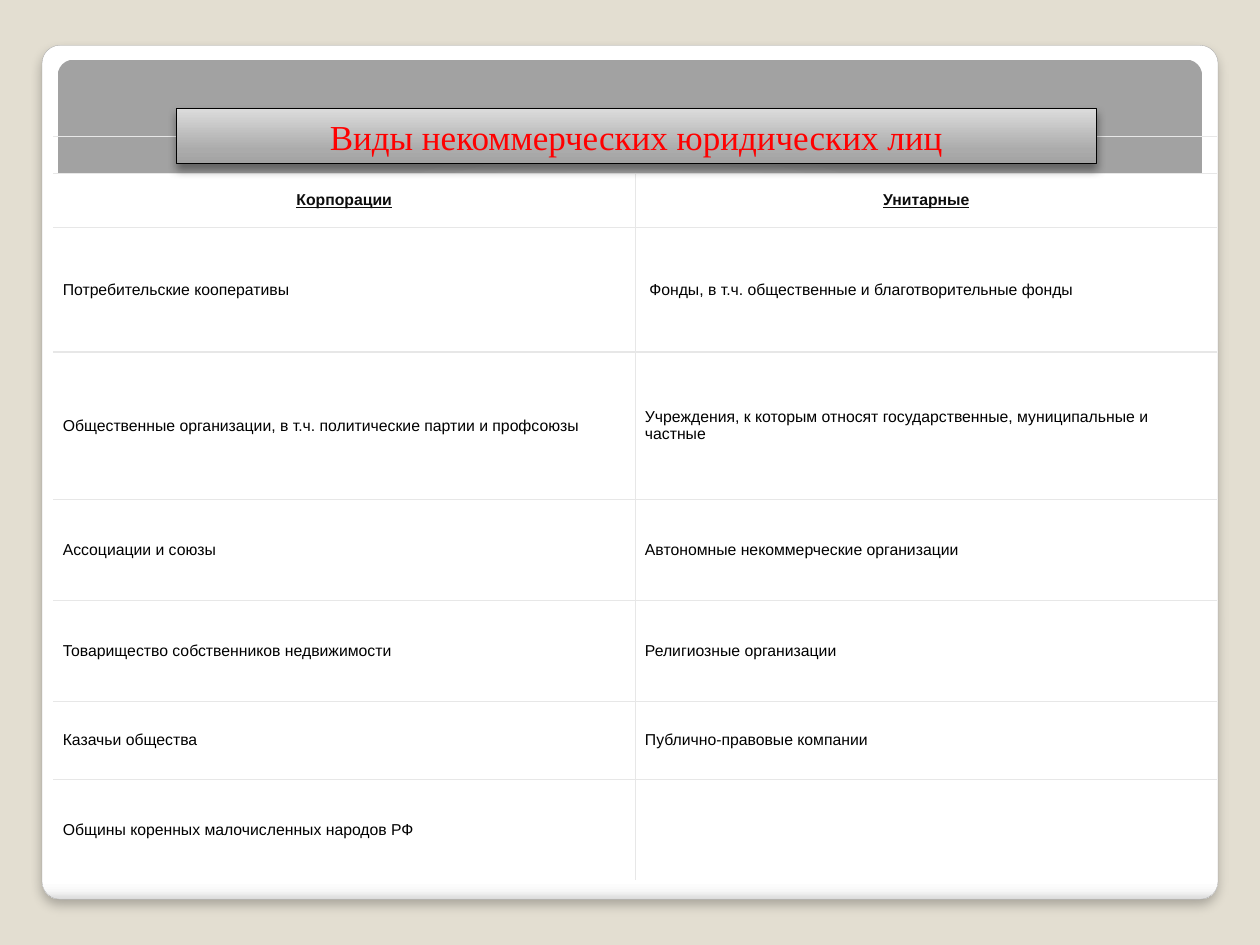
from lxml.etree import SubElement
from pptx import Presentation
from pptx.dml.color import RGBColor
from pptx.enum.shapes import MSO_SHAPE
from pptx.enum.text import MSO_ANCHOR, PP_ALIGN
from pptx.oxml import parse_xml
from pptx.oxml.ns import nsdecls, qn
from pptx.util import Pt

COLORS = {
    "background": "E3DED1", "white": "FFFFFF", "black": "000000",
    "card_edge": "A4A4A4", "grid": "E7E7E7",
    "header": "0D0D0D", "title": "FF0000",
}
CARD_STOPS = [(0, "FFFFFF"), (98, "FFFFFF"), (99, "F7F7F7"), (100, "DADADA")]
PANEL_STOPS = [(0, "FFFFFF"), (55, "E1E1E1"), (100, "A2A2A2")]
BANNER_STOPS = [(0, "A2A2A2"), (25, "ABABAB"), (100, "DCDCDC")]

TITLE = "Виды некоммерческих юридических лиц"
# Height, corporations, unitary entities
ENTITIES = [
    (31, "Корпорации", "Унитарные"),
    (71.2, "Потребительские кооперативы",
     "\u00a0Фонды, в т.ч. общественные и благотворительные фонды"),
    (84.2, "Общественные организации, в т.ч. политические партии и профсоюзы",
     "Учреждения, к которым относят государственные, муниципальные и частные"),
    (57.7, "Ассоциации и союзы", "Автономные некоммерческие организации"),
    (57.7, "Товарищество собственников недвижимости", "Религиозные организации"),
    (44.6, "Казачьи общества", "Публично-правовые компании"),
    (57.7, "Общины коренных малочисленных народов РФ", ""),
]


def rgb(name):
    return RGBColor.from_string(COLORS[name])


def set_gradient(shape, stops, direction):
    shape.fill.background()
    stop_xml = "".join(
        f'<a:gs pos="{pos * 1000}"><a:srgbClr val="{color}"/></a:gs>'
        for pos, color in stops)
    gradient = parse_xml(
        f'<a:gradFill {nsdecls("a")} rotWithShape="1">'
        f'<a:gsLst>{stop_xml}</a:gsLst>{direction}</a:gradFill>')
    properties = shape.element.spPr
    properties.replace(properties.find(qn("a:noFill")), gradient)


def linear(angle):
    return f'<a:lin ang="{angle * 60000}" scaled="0"/>'


def set_shadow(shape, alpha, blur, distance):
    shape.shadow.inherit = False
    effects = shape.element.spPr.find(qn("a:effectLst"))
    shadow = SubElement(effects, qn("a:outerShdw"), blurRad=str(Pt(blur)),
                        dist=str(Pt(distance)), dir="5400000",
                        algn="t", rotWithShape="0")
    color = SubElement(shadow, qn("a:srgbClr"), val=COLORS["black"])
    SubElement(color, qn("a:alpha"), val=str(alpha * 1000))


def set_line(shape, color, width):
    shape.line.color.rgb = rgb(color)
    shape.line.width = Pt(width)


def add_backdrop(slide, left, top, width, height):
    """White card with a grey panel inset at its top."""
    def rounded(x, y, w, h):
        shape = slide.shapes.add_shape(
            MSO_SHAPE.ROUNDED_RECTANGLE, Pt(x), Pt(y), Pt(w), Pt(h))
        shape.adjustments[0] = 0.021
        shape.shadow.inherit = False
        return shape

    card = rounded(left, top, width, height)
    set_gradient(card, CARD_STOPS, linear(90))
    set_line(card, "card_edge", 0.16)
    set_shadow(card, 25, 6, 4)

    panel = rounded(left + 9, top + 8.2, width - 18, 432)
    set_gradient(panel, PANEL_STOPS,
                 '<a:path path="circle"><a:fillToRect l="50000" t="175000" '
                 'r="50000" b="-75000"/></a:path>')
    panel.line.fill.background()


def style_cell(cell, text, borders, margins, is_header=False):
    cell.vertical_anchor = MSO_ANCHOR.MIDDLE
    cell.margin_left = cell.margin_right = Pt(margins[0])
    cell.margin_top = cell.margin_bottom = Pt(margins[1])
    paragraph = cell.text_frame.paragraphs[0]
    if text:
        paragraph.text = text
        paragraph.alignment = PP_ALIGN.CENTER if is_header else PP_ALIGN.LEFT
        font = paragraph.runs[0].font
        font.name = "Arial"
        font.size = Pt(9)
        font.bold = font.underline = is_header
        font.color.rgb = rgb("header" if is_header else "black")
    else:
        # Small empty line, so that the row keeps its height
        SubElement(paragraph._p, qn("a:endParaRPr"), sz="900")
    properties = cell._tc.get_or_add_tcPr()
    for side in borders:
        edge = SubElement(properties, qn(f"a:ln{side}"), w=str(Pt(0.75)))
        fill = SubElement(edge, qn("a:solidFill"))
        SubElement(fill, qn("a:srgbClr"), val=COLORS["grid"])


def add_entity_table(slide, left, top, width, band_height):
    height = band_height + sum(row[0] for row in ENTITIES)
    frame = slide.shapes.add_table(
        len(ENTITIES) + 1, 2, Pt(left), Pt(top), Pt(width), Pt(height))
    table = frame.table
    table.first_row = table.horz_banding = False
    # Plain style without a grid
    table._tbl.tblPr.find(qn("a:tableStyleId")).text = (
        "{2D5ABB26-0587-4C30-8999-92F81FD0307C}")
    for column in table.columns:
        column.width = Pt(width / 2)

    # Empty band across both columns
    table.rows[0].height = Pt(band_height)
    table.cell(0, 0).merge(table.cell(0, 1))
    for column in range(2):
        cell = table.cell(0, column)
        style_cell(cell, "", "TB", (7.2, 5))
        cell.fill.background()

    # Header and entity rows
    for index, (row_height, *texts) in enumerate(ENTITIES, start=1):
        table.rows[index].height = Pt(row_height)
        bottom = "" if index == len(ENTITIES) else "B"
        for column, text in enumerate(texts):
            cell = table.cell(index, column)
            style_cell(cell, text, "RL"[column] + "T" + bottom, (5.6, 7.2),
                       is_header=index == 1)
            cell.fill.solid()
            cell.fill.fore_color.rgb = rgb("white")


def place_title(slide, left, top, width, height):
    banner = slide.shapes.title
    banner.left, banner.top = Pt(left), Pt(top)
    banner.width, banner.height = Pt(width), Pt(height)
    # Bring the banner in front of the table
    banner.element.getparent().append(banner.element)
    set_gradient(banner, BANNER_STOPS, linear(270))
    set_line(banner, "black", 0.75)
    set_shadow(banner, 40, 5.2, 3)
    banner.text_frame.text = TITLE
    banner.text_frame.word_wrap = True
    banner.text_frame.vertical_anchor = MSO_ANCHOR.MIDDLE
    paragraph = banner.text_frame.paragraphs[0]
    paragraph.alignment = PP_ALIGN.CENTER
    font = paragraph.runs[0].font
    font.name = "Times New Roman"
    font.size = Pt(20)
    font.color.rgb = rgb("title")


presentation = Presentation()
presentation.slide_width, presentation.slide_height = Pt(720), Pt(540)
slide = presentation.slides.add_slide(presentation.slide_layouts[5])
slide.background.fill.solid()
slide.background.fill.fore_color.rgb = rgb("background")

add_backdrop(slide, 24, 25.9, 672, 488)
add_entity_table(slide, 30.3, 77.8, 665.4, 21.2)
place_title(slide, 100.8, 62, 525.6, 31.6)
presentation.save("out.pptx")
